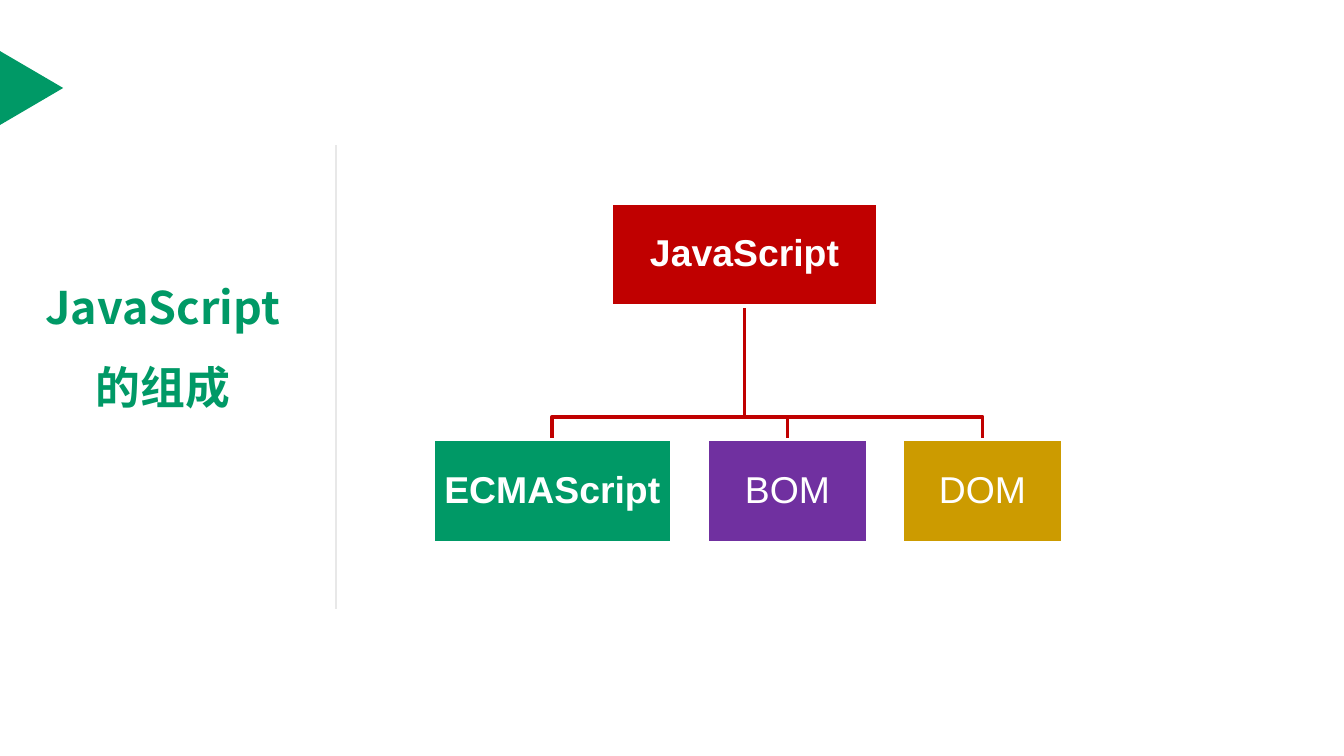
from lxml.etree import SubElement
from pptx import Presentation
from pptx.dml.color import RGBColor
from pptx.enum.shapes import MSO_CONNECTOR as Connector, MSO_SHAPE as Shape
from pptx.enum.text import MSO_ANCHOR as Anchor, PP_ALIGN as Align
from pptx.oxml.ns import qn
from pptx.util import Inches, Pt

GREEN = RGBColor(0x00, 0x99, 0x66)
RED = RGBColor(0xC0, 0x00, 0x00)
PURPLE = RGBColor(0x70, 0x30, 0xA0)
GOLD = RGBColor(0xCC, 0x9B, 0x00)
GRAY = RGBColor(0x7F, 0x7F, 0x7F)
WHITE = RGBColor(0xFF, 0xFF, 0xFF)
TITLE_FONT = "Noto Sans CJK SC"


def apply(target, formats):
    for name, value in formats.items():
        setattr(target, name, value)


def set_line(shape, color, width):
    shape.line.color.rgb = color
    shape.line.width = Pt(width)


def write(frame, lines, color, spacing, margins, **font):
    apply(frame, {"word_wrap": True, "vertical_anchor": Anchor.MIDDLE, **margins})
    for index, text in enumerate(lines):
        para = frame.add_paragraph() if index else frame.paragraphs[0]
        apply(para, {"alignment": Align.CENTER, "line_spacing": spacing})
        span = para.add_run()
        span.text = text
        apply(span.font, font)
        span.font.color.rgb = color
        SubElement(span.font._element, qn("a:ea"), typeface=font["name"])


def margins(side, bottom):
    values = dict.fromkeys(("margin_left", "margin_top", "margin_right"), Inches(side))
    return {**values, "margin_bottom": Inches(bottom)}


def add_frame(page, left, top, height):
    # Corner pointer
    pointer = page.shapes.add_shape(Shape.ISOSCELES_TRIANGLE, Inches(left - 2.54),
                                    Inches(top - 0.66), Inches(0.55), Inches(0.47))
    pointer.rotation = 90
    pointer.shadow.inherit = False
    pointer.fill.solid()
    pointer.fill.fore_color.rgb = GREEN
    pointer.line.fill.background()

    # Half-transparent divider
    divider = page.shapes.add_connector(Connector.STRAIGHT, Inches(left), Inches(top),
                                        Inches(left), Inches(top + height))
    set_line(divider, GRAY, 0.5)
    SubElement(divider._element.spPr, qn("a:effectLst"))
    color = next(divider._element.iter(qn("a:srgbClr")))
    SubElement(color, qn("a:alpha"), val="50000")


def add_title(page, left, top, width, height):
    box = page.shapes.add_textbox(*map(Inches, (left, top, width, height)))
    # The bottom margin lifts the two lines above the middle
    write(box.text_frame, ["JavaScript", "的组成"], GREEN, 1.5, margins(0, 0.6),
          name=TITLE_FONT, size=Pt(24), bold=True)


def add_node(page, text, left, top, width, height, fill, bold):
    node = page.shapes.add_shape(Shape.RECTANGLE, *map(Inches, (left, top, width, height)))
    node.shadow.inherit = False
    node.fill.solid()
    node.fill.fore_color.rgb = fill
    set_line(node, WHITE, 2)
    write(node.text_frame, [text], WHITE, 0.9, margins(0.01, 0.01),
          name="Arial", size=Pt(20), bold=bold)


def add_branch(page, points):
    start, *rest = [(Inches(x), Inches(y)) for x, y in points]
    builder = page.shapes.build_freeform(*start)
    builder.add_line_segments(rest, close=False)
    branch = builder.convert_to_shape()
    branch.shadow.inherit = False
    branch.fill.background()
    set_line(branch, RED, 2)


def add_tree(page, left, top):
    node_height, child_top, bus = 0.77, top + 1.76, top + 1.59
    root_left, root_width = left + 1.33, 1.98
    root_x, root_bottom = root_left + root_width / 2, top + node_height
    children = [
        ("ECMAScript", 0, 1.78, GREEN, True),
        ("BOM", 2.04, 1.2, PURPLE, False),
        ("DOM", 3.49, 1.2, GOLD, False),
    ]
    # Branches lie behind the nodes
    for _, offset, width, _, _ in reversed(children):
        child_x = left + offset + width / 2
        add_branch(page, [(root_x, root_bottom), (root_x, bus),
                          (child_x, bus), (child_x, child_top)])
    add_node(page, "JavaScript", root_left, top, root_width, node_height, RED, True)
    for text, offset, width, fill, bold in children:
        add_node(page, text, left + offset, child_top, width, node_height, fill, bold)


deck = Presentation()
# Widescreen, 16 to 9
apply(deck, {"slide_width": Inches(10), "slide_height": Inches(10) * 9 // 16})
page = deck.slides.add_slide(deck.slide_layouts[6])
add_frame(page, 2.5, 1.08, 3.45)
add_title(page, 0, 2.11, 2.42, 1.34)
add_tree(page, 3.22, 1.51)
deck.save("out.pptx")
